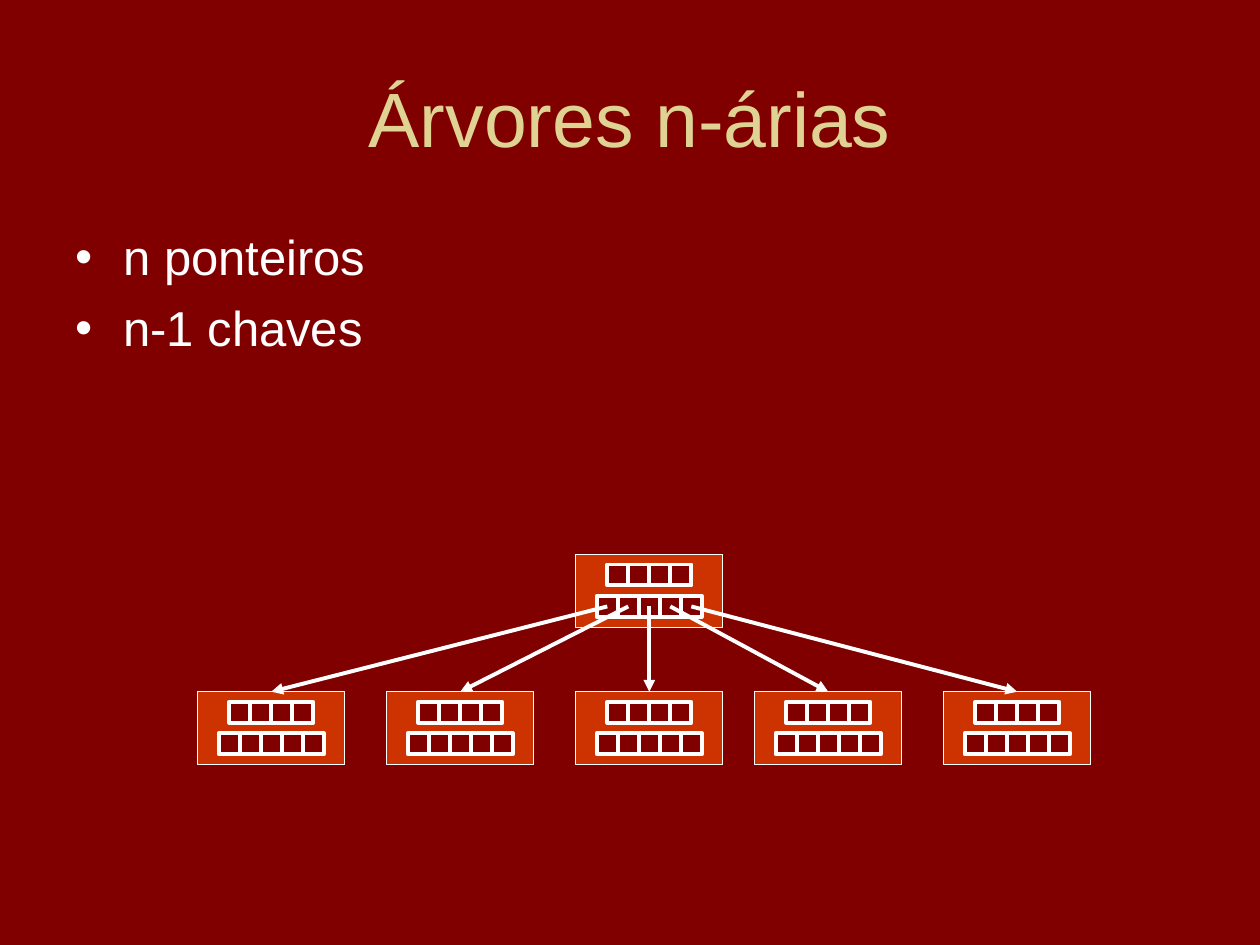
"""Build a slide showing an n-ary tree whose nodes hold keys and pointers."""
from dataclasses import dataclass

from lxml.etree import SubElement
from pptx import Presentation
from pptx.dml.color import RGBColor
from pptx.enum.shapes import MSO_CONNECTOR as CONN, MSO_SHAPE as SHAPE
from pptx.enum.text import MSO_ANCHOR as ANCHOR, PP_ALIGN as ALIGN
from pptx.oxml.ns import qn
from pptx.util import Inches, Pt

MAROON = RGBColor(0x80, 0x00, 0x00)
ORANGE = RGBColor(0xCC, 0x33, 0x00)
SAND = RGBColor(0xDF, 0xD2, 0x93)
WHITE = RGBColor(0xFF, 0xFF, 0xFF)

POINTERS = 5
CELL = 1 / 6
NODE_W, NODE_H = 7 * CELL, 0.58
KEY_Y, POINTER_Y = 0.08, 0.33
CHILD_Y = 5.49
CHILD_XS = (1.57, 3.07, 4.57, 5.99, 7.49)


@dataclass(frozen=True)
class Node:
    x: float
    y: float

    @property
    def center(self) -> float:
        return self.x + NODE_W / 2

    def cell_x(self, index: int, count: int) -> float:
        return self.center + (index - count / 2) * CELL


def add_rect(shapes, x: float, y: float, w: float, h: float,
             fill: RGBColor, weight: float) -> None:
    sp = shapes.add_shape(SHAPE.RECTANGLE, Inches(x), Inches(y), Inches(w), Inches(h))
    sp.shadow.inherit = False
    sp.fill.solid()
    sp.fill.fore_color.rgb = fill
    sp.line.color.rgb = WHITE
    sp.line.width = Pt(weight)


def add_node(s, node: Node) -> None:
    shapes = s.shapes.add_group_shape().shapes
    add_rect(shapes, node.x, node.y, NODE_W, NODE_H, ORANGE, 0.75)
    for count, dy in ((POINTERS, POINTER_Y), (POINTERS - 1, KEY_Y)):
        for i in range(count):
            add_rect(shapes, node.cell_x(i, count), node.y + dy, CELL, CELL, MAROON, 2.25)


def add_arrow(s, x1: float, y1: float, x2: float, y2: float) -> None:
    cn = s.shapes.add_connector(CONN.STRAIGHT, Inches(x1), Inches(y1), Inches(x2), Inches(y2))
    cn.line.color.rgb = WHITE
    cn.line.width = Pt(2.25)
    SubElement(cn.line._get_or_add_ln(), qn("a:tailEnd"), type="triangle")
    SubElement(cn._element.spPr, qn("a:effectLst"))


def write(p, text: str, *, size: float, color: RGBColor, align=ALIGN.LEFT,
          before: float = 0, bullet: bool = False) -> None:
    p.alignment = align
    p.space_before = Pt(before)
    if bullet:
        pPr = p._p.get_or_add_pPr()
        pPr.set("marL", str(Inches(0.38)))
        pPr.set("indent", str(Inches(-0.38)))
        SubElement(pPr, qn("a:buFont"), typeface="Arial")
        SubElement(pPr, qn("a:buChar"), char="•")
    r = p.add_run()
    r.text = text
    r.font.name = "Arial"
    r.font.size = Pt(size)
    r.font.color.rgb = color


def main() -> None:
    prs = Presentation()
    prs.slide_width, prs.slide_height = Inches(10), Inches(7.5)
    s = prs.slides.add_slide(prs.slide_layouts[5])
    s.background.fill.solid()
    s.background.fill.fore_color.rgb = MAROON

    title = s.shapes.title
    title.left, title.top = Inches(0.5), Inches(0.3)
    title.width, title.height = Inches(9), Inches(1.25)
    title.text_frame.vertical_anchor = ANCHOR.MIDDLE
    write(title.text_frame.paragraphs[0], "Árvores n-árias",
          size=44, color=SAND, align=ALIGN.CENTER)

    box = s.shapes.add_textbox(Inches(0.5), Inches(1.75), Inches(4.42), Inches(1.61))
    tf = box.text_frame
    tf.word_wrap = True
    for i, text in enumerate(("n ponteiros", "n-1 chaves")):
        p = tf.add_paragraph() if i else tf.paragraphs[0]
        write(p, text, size=28, color=WHITE, before=7 if i else 0, bullet=True)

    root = Node(4.57, 4.4)
    children = [Node(x, CHILD_Y) for x in CHILD_XS]
    for node in (root, *children):
        add_node(s, node)
    for i, child in enumerate(children):
        add_arrow(s, root.cell_x(i, POINTERS) + CELL / 2, root.y + POINTER_Y + CELL / 2,
                  child.center, child.y)

    prs.save("out.pptx")


if __name__ == "__main__":
    main()
